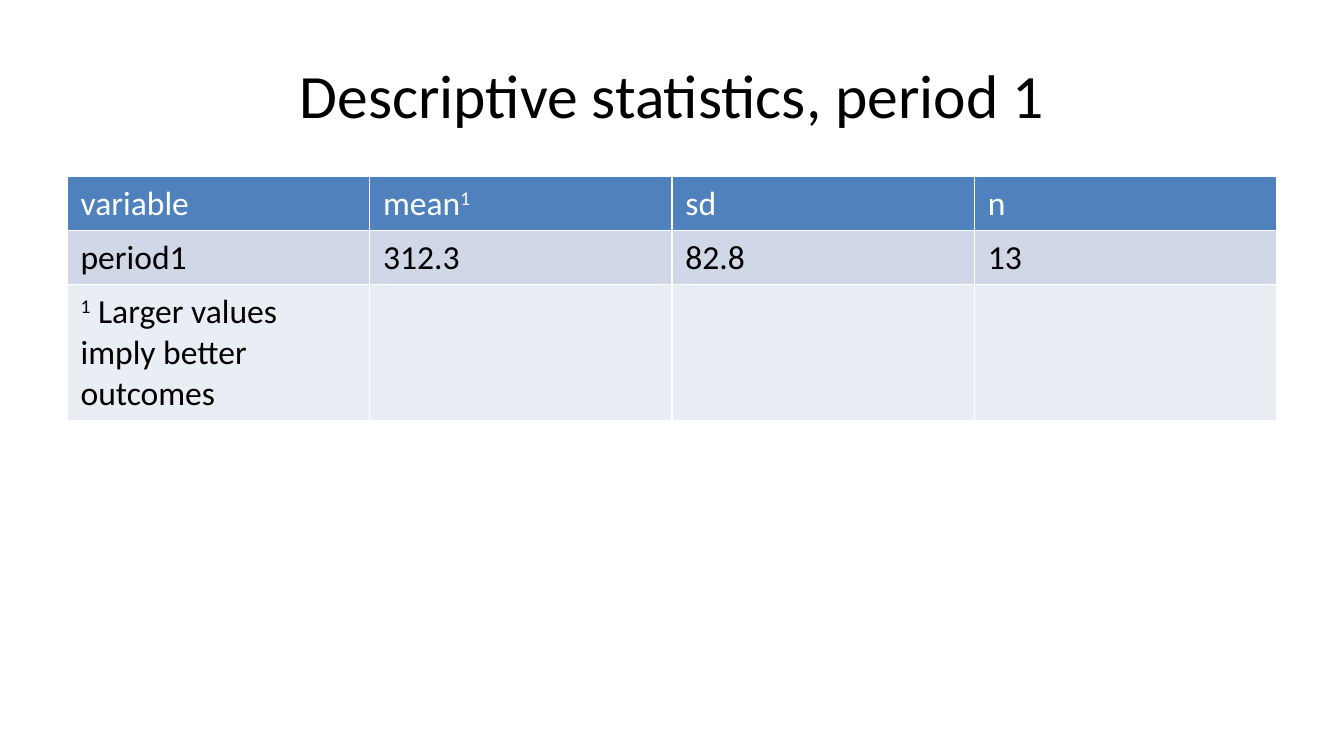
from pptx import Presentation
from pptx.dml.color import RGBColor
from pptx.enum.text import MSO_ANCHOR, PP_ALIGN
from pptx.util import Pt

MIDDLE = MSO_ANCHOR.MIDDLE
CENTER = PP_ALIGN.CENTER

BLACK = RGBColor(0x00, 0x00, 0x00)
WHITE = RGBColor(0xFF, 0xFF, 0xFF)
BLUE = RGBColor(0x4F, 0x81, 0xBD)
PALE = RGBColor(0xD0, 0xD8, 0xE8)
LIGHT = RGBColor(0xE9, 0xED, 0xF4)

FONT = "Calibri"
LEFT, WIDTH = 36, 648

# Each cell is a list of runs: (text, raised).
ROWS = [
    [[("variable", False)], [("mean", False), ("1", True)],
     [("sd", False)], [("n", False)]],
    [[("period1", False)], [("312.3", False)],
     [("82.8", False)], [("13", False)]],
    [[("1", True), (" Larger values imply better outcomes", False)],
     [], [], []],
]
# Height, fill and text colour of each row.
LOOKS = [(29, BLUE, WHITE), (29, PALE, BLACK), (73, LIGHT, BLACK)]


def add_run(para, text, size, color, raised=False):
    run = para.add_run()
    run.text = text
    font = run.font
    font.name = FONT
    font.size = Pt(size)
    font.bold = False
    font.color.rgb = color
    if raised:
        run._r.get_or_add_rPr().set("baseline", "30000")


def add_title(slide, text):
    box = slide.shapes.add_textbox(Pt(LEFT), Pt(16.5), Pt(WIDTH), Pt(67.5))
    frame = box.text_frame
    frame.word_wrap = True
    frame.vertical_anchor = MIDDLE
    para = frame.paragraphs[0]
    para.alignment = CENTER
    add_run(para, text, 33, BLACK)


def add_stats(slide):
    """Add the table; its default style draws the white borders."""
    high = sum(look[0] for look in LOOKS)
    table = slide.shapes.add_table(
        len(ROWS), len(ROWS[0]), Pt(LEFT), Pt(94.5), Pt(WIDTH), Pt(high)
    ).table
    for row, cells, (tall, fill, color) in zip(table.rows, ROWS, LOOKS):
        row.height = Pt(tall)
        for cell, runs in zip(row.cells, cells):
            cell.fill.solid()
            cell.fill.fore_color.rgb = fill
            for text, raised in runs:
                add_run(cell.text_frame.paragraphs[0], text, 18, color, raised)


def main():
    deck = Presentation()
    deck.slide_width, deck.slide_height = Pt(720), Pt(405)
    slide = deck.slides.add_slide(deck.slide_layouts[6])
    add_title(slide, "Descriptive statistics, period 1")
    add_stats(slide)
    deck.save("out.pptx")


if __name__ == "__main__":
    main()
